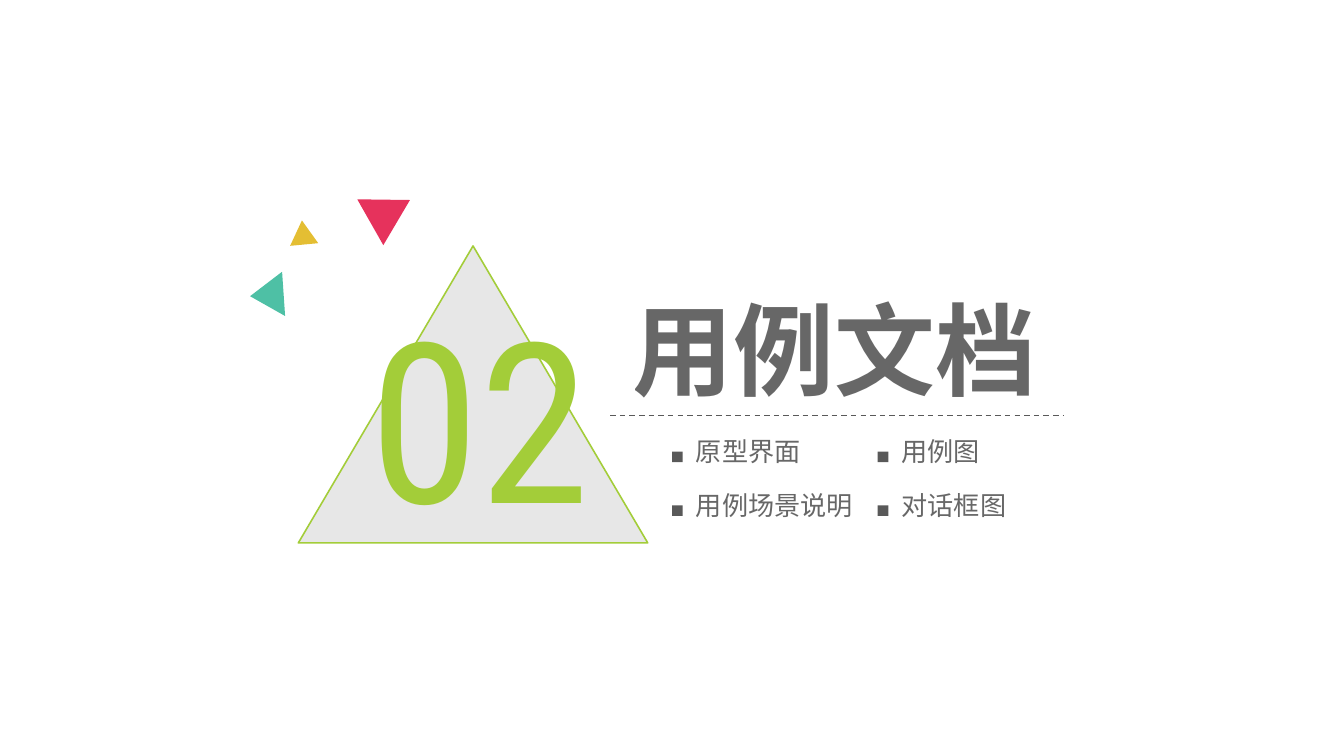
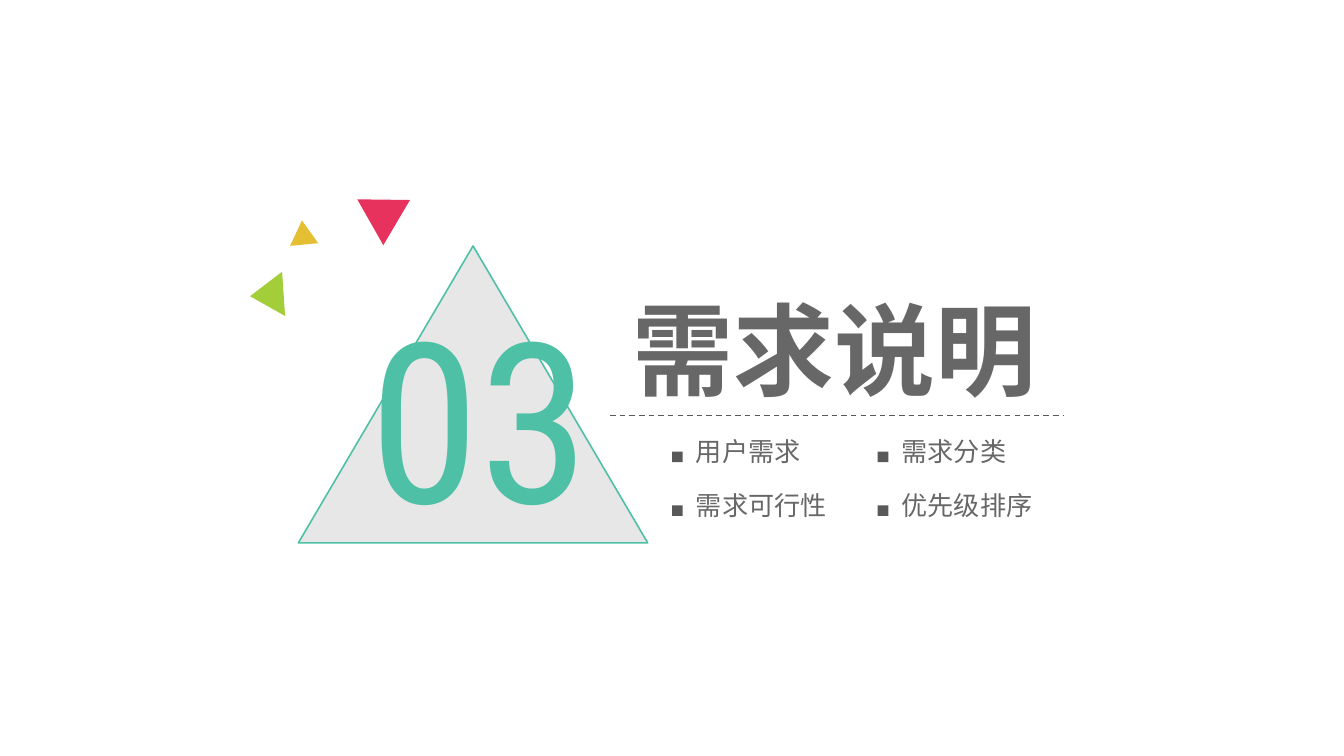
from lxml import etree
from pptx import Presentation
from pptx import util as u
from pptx.dml.color import RGBColor
from pptx.enum import dml, shapes, text
from pptx.oxml.ns import qn

# Shared style
GRAY, GREEN, TEAL, RED, YELLOW = "595959", "A3CD39", "4EC0A5", "E6325C", "E4BE33"
CJK_FONT, NUMBER_FONT = "Noto Sans CJK SC", "Roboto Condensed"
TEXT_ALPHA, TRIANGLE_ALPHA = 91, 14
TRIANGLE = shapes.MSO_SHAPE.ISOSCELES_TRIANGLE

# Topic grid: two columns, two rows
TOPIC_LEFT, TOPIC_TOP = 5, 3.19
COLUMN_STEP, ROW_STEP = 1.53, 0.4
MARKER_SIZE, MARKER_DROP = 0.08, 0.17

SECTIONS = [
    dict(number="02", number_width=1.95, title="用例文档", accent=GREEN, spare=TEAL,
         topics=["原型界面", "用例图", "用例场景说明", "对话框图"]),
    dict(number="03", number_width=2, title="需求说明", accent=TEAL, spare=GREEN,
         topics=["用户需求", "需求分类", "需求可行性", "优先级排序"]),
]


def paint(fill, color, alpha=100):
    """Give a solid fill its colour and opacity in percent."""
    fill.solid()
    fill.fore_color.rgb = RGBColor.from_string(color)
    if alpha < 100:
        srgb = fill._xPr.find(qn("a:solidFill")).find(qn("a:srgbClr"))
        etree.SubElement(srgb, qn("a:alpha"), val=str(alpha * 1000))


def cjk_width(words, size):
    """Width of a line of full-width characters plus both side insets."""
    return len(words) * size / 72 + 0.2


class Deck:
    def __init__(self):
        self.prs = Presentation()
        # 16:9 page
        self.prs.slide_width = u.Inches(10)
        self.prs.slide_height = u.Inches(10 * 9 / 16)
        self.slide = None

    def new_slide(self):
        self.slide = self.prs.slides.add_slide(self.prs.slide_layouts[6])
        paint(self.slide.background.fill, "FFFFFF")

    def shape(self, kind, box, color, alpha=100, outline=None, rotation=0, parent=None):
        shape = (parent or self.slide).shapes.add_shape(kind, *map(u.Inches, box))
        shape.shadow.inherit = False
        shape.rotation = rotation
        paint(shape.fill, color, alpha)
        if outline:
            paint(shape.line.fill, outline)
            shape.line.width = u.Pt(0.85)
        else:
            shape.line.fill.background()

    def label(self, words, box, color, alpha=100, parent=None, **font_format):
        frame = (parent or self.slide).shapes.add_textbox(*map(u.Inches, box)).text_frame
        frame.word_wrap = False
        frame.auto_size = text.MSO_AUTO_SIZE.SHAPE_TO_FIT_TEXT
        run = frame.paragraphs[0].add_run()
        run.text = words
        paint(run.font.fill, color, alpha)
        for attribute, value in font_format.items():
            setattr(run.font, attribute, value)
        # East Asian characters take their face from a:ea
        latin = run.font._element.find(qn("a:latin"))
        latin.addnext(etree.Element(qn("a:ea"), typeface=run.font.name))

    def dashed_rule(self, left, right, y):
        rule = self.slide.shapes.add_connector(
            shapes.MSO_CONNECTOR.STRAIGHT, *map(u.Inches, (left, y, right, y)))
        paint(rule.line.fill, GRAY)
        rule.line.width = u.Pt(0.75)
        rule.line.dash_style = dml.MSO_LINE.DASH
        etree.SubElement(rule._element.spPr, qn("a:effectLst"))

    def topic(self, words, left, top):
        group = self.slide.shapes.add_group_shape()
        self.shape(shapes.MSO_SHAPE.RECTANGLE,
                   (left, top + MARKER_DROP, MARKER_SIZE, MARKER_SIZE), GRAY, parent=group)
        self.label(words, (left + MARKER_SIZE, top, cjk_width(words, 14), 0.34), GRAY,
                   TEXT_ALPHA, parent=group, size=u.Pt(14), name=CJK_FONT)

    def section(self, number, number_width, title, accent, spare, topics):
        self.new_slide()
        # Numbered triangle
        self.shape(TRIANGLE, (2.22, 1.83, 2.6, 2.21), GRAY, TRIANGLE_ALPHA, outline=accent)
        self.label(number, (2.65, 2.03, number_width, 2.12), accent,
                   size=u.Pt(120), name=NUMBER_FONT)
        # Title and rule
        self.label(title, (4.61, 2.09, cjk_width(title, 54), 1.01), GRAY, TEXT_ALPHA,
                   size=u.Pt(54), name=CJK_FONT, bold=True)
        self.dashed_rule(4.54, 7.91, 3.09)
        # Topics
        for index, words in enumerate(topics):
            row, column = divmod(index, 2)
            self.topic(words, TOPIC_LEFT + column * COLUMN_STEP, TOPIC_TOP + row * ROW_STEP)
        # Scattered small triangles
        for box, rotation, color in [((2.61, 1.4, 0.39, 0.34), 300.6, RED),
                                     ((2.15, 1.64, 0.21, 0.18), 354.7, YELLOW),
                                     ((1.82, 2.07, 0.33, 0.25), 266.1, spare)]:
            self.shape(TRIANGLE, box, color, rotation=rotation)


def main():
    deck = Deck()
    for section in SECTIONS:
        deck.section(**section)
    deck.prs.save("out.pptx")


if __name__ == "__main__":
    main()
